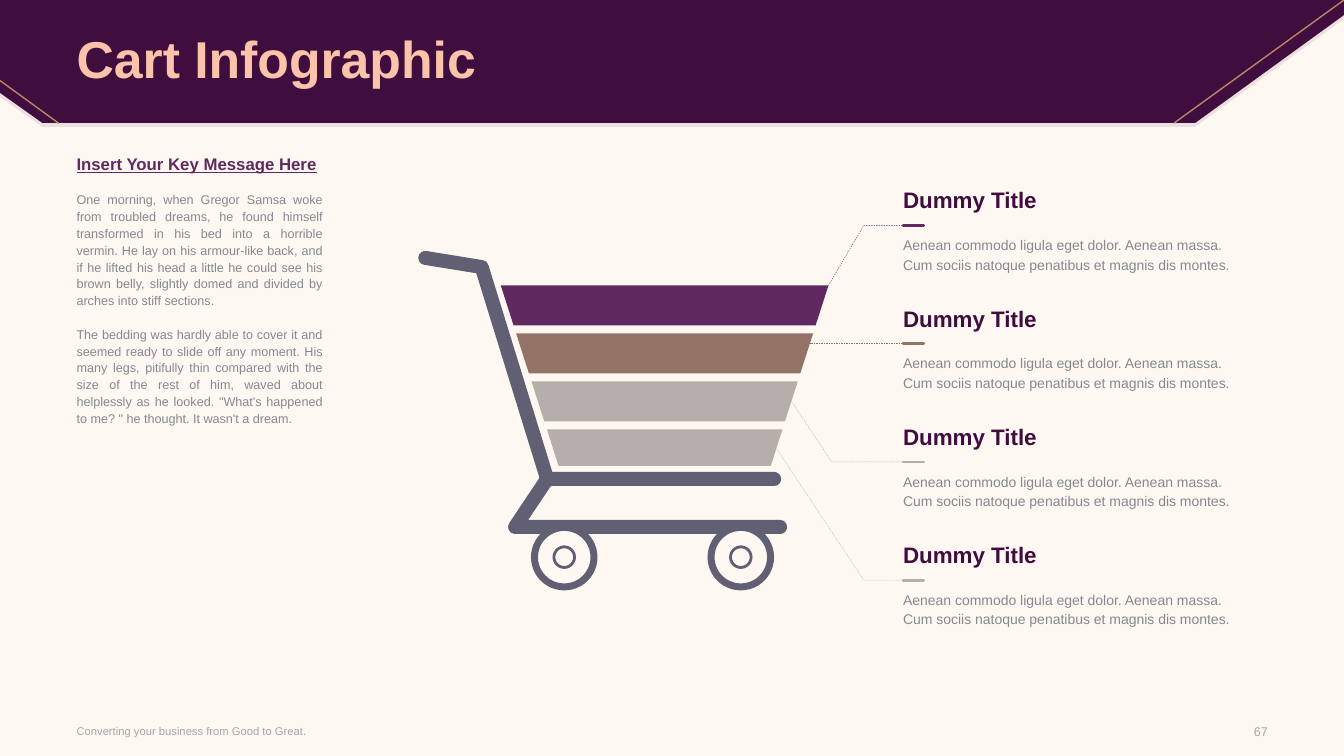
from lxml.etree import SubElement
from pptx import Presentation
from pptx.dml.color import RGBColor
from pptx.enum.dml import MSO_LINE
from pptx.enum.shapes import MSO_CONNECTOR, MSO_SHAPE
from pptx.enum.text import MSO_ANCHOR, PP_ALIGN
from pptx.oxml.ns import qn
from pptx.util import Cm, Pt

COLORS = {
    "background": "FFF7F2", "header": "3F0D3E", "peach": "FBC4AA", "gold": "B98763",
    "plum": "602A60", "brown": "927365", "stone": "B6AEAB", "frame": "605F73",
    "body": "85898F", "footer": "A6A6A6",
}
LAYER_COLORS = ["plum", "brown", "stone", "stone"]
LAYER_HEIGHTS = [1.01, 1.01, 1.01, 0.92]
LAYER_PITCH = 1.21
LAYER_TOP = 0.87
SLOPE = 0.32
TOPIC_PITCH = 2.98
RULE_OFFSET = 0.98
LEADERS = [(21.77, 0), (None, 1.47), (20.96, 2.92), (21.77, 4.11)]
STYLES = {
    "title": {"size": Pt(37), "bold": True, "color": "peach"},
    "key": {"size": Pt(12), "bold": True, "underline": True, "color": "plum"},
    "message": {"size": Pt(9), "color": "body"},
    "topic": {"size": Pt(16), "bold": True, "color": "header"},
    "detail": {"size": Pt(10), "color": "body"},
    "footer": {"size": Pt(8), "color": "footer"},
    "number": {"size": Pt(9), "color": "footer"},
}
MESSAGE = [
    ("Insert Your Key Message Here", "key"),
    ("One morning, when Gregor Samsa woke from troubled dreams, he found himself "
     "transformed in his bed into a horrible vermin. He lay on his armour-like back, "
     "and if he lifted his head a little he could see his brown belly, slightly domed "
     "and divided by arches into stiff sections.", "message"),
    ("The bedding was hardly able to cover it and seemed ready to slide off any moment. "
     "His many legs, pitifully thin compared with the size of the rest of him, waved "
     "about helplessly as he looked. \"What's happened to me? \" he thought. "
     "It wasn't a dream.", "message"),
]
DETAIL = [
    ("Aenean commodo ligula eget dolor. Aenean massa.", "detail"),
    ("Cum sociis natoque penatibus et magnis dis montes.", "detail"),
]


def rgb(name):
    """Return the named colour."""
    return RGBColor.from_string(COLORS[name])


def add_text(slide, box, paragraphs, anchor=MSO_ANCHOR.TOP, **layout):
    """Fill a text box with (text, style) paragraphs."""
    frame = slide.shapes.add_textbox(*map(Cm, box)).text_frame
    settings = {"word_wrap": True, "vertical_anchor": anchor, "margin_left": 0,
                "margin_right": 0, "margin_top": 0, "margin_bottom": 0}
    for name, value in settings.items():
        setattr(frame, name, value)
    for index, (text, style) in enumerate(paragraphs):
        paragraph = frame.add_paragraph() if index else frame.paragraphs[0]
        for name, value in layout.items():
            setattr(paragraph, name, value)
        run = paragraph.add_run()
        run.text = text
        for name, value in {"name": "Arial", **STYLES[style]}.items():
            if name == "color":
                run.font.color.rgb = rgb(value)
            else:
                setattr(run.font, name, value)


def build_path(slide, points, close):
    """Build an outline through points given in centimetres."""
    start, *others = [(Cm(x), Cm(y)) for x, y in points]
    builder = slide.shapes.build_freeform(*start)
    builder.add_line_segments(others, close=close)
    shape = builder.convert_to_shape()
    shape.shadow.inherit = False
    return shape


def add_area(slide, points, color, opacity=100):
    """Draw a filled polygon."""
    shape = build_path(slide, points, True)
    shape.fill.solid()
    shape.fill.fore_color.rgb = rgb(color)
    shape.line.fill.background()
    if opacity < 100:
        fill = shape.fill.fore_color._xFill.find(qn("a:srgbClr"))
        SubElement(fill, qn("a:alpha")).set("val", str(opacity * 1000))


def add_stroke(slide, points, color, width, dash=None):
    """Draw a round-ended line through two or more points."""
    if len(points) == 2:
        ends = [Cm(value) for point in points for value in point]
        shape = slide.shapes.add_connector(MSO_CONNECTOR.STRAIGHT, *ends)
        SubElement(shape._element.spPr, qn("a:effectLst"))
    else:
        shape = build_path(slide, points, False)
        shape.fill.background()
    shape.line.color.rgb = rgb(color)
    shape.line.width = Pt(width)
    if dash:
        shape.line.dash_style = dash
    outline = shape.line._get_or_add_ln()
    outline.set("cap", "flat" if dash else "rnd")
    SubElement(outline, qn("a:round"))


def add_ring(slide, center, radius, width):
    """Draw a circle with a thick outline around a center."""
    x, y = center
    box = (x - radius, y - radius, 2 * radius, 2 * radius)
    ring = slide.shapes.add_shape(MSO_SHAPE.OVAL, *map(Cm, box))
    ring.shadow.inherit = False
    ring.fill.solid()
    ring.fill.fore_color.rgb = rgb("background")
    ring.line.color.rgb = rgb("frame")
    ring.line.width = Pt(width)


def add_header(slide, box):
    """Draw the banner with its cut corners, gold lines and title."""
    left, top, width, height = box
    right, bottom = left + width, top + height
    outline = [(left, top), (right, top), (right, top + 0.38), (right - 3.75, bottom),
               (left + 1.07, bottom), (left, top + 2.34)]
    add_area(slide, [(x, y + 0.1) for x, y in outline], "header", 10)
    add_area(slide, outline, "header")
    add_stroke(slide, [(right, top), (right - 4.28, bottom)], "gold", 1)
    add_stroke(slide, [(left, top + 2.03), (left + 1.47, bottom)], "gold", 1)
    add_text(slide, (left + 1.93, top + 0.08, 30, 2.97), [("Cart Infographic", "title")],
             MSO_ANCHOR.MIDDLE, line_spacing=0.9)


def add_cart(slide, box):
    """Draw the tapering layers, the frame and the wheels."""
    left, top, width, height = box
    for index, (color, depth) in enumerate(zip(LAYER_COLORS, LAYER_HEIGHTS)):
        upper = index * LAYER_PITCH
        lower = upper + depth
        start, end, base = left + 2.1, left + width, top + LAYER_TOP
        add_area(slide, [(start + SLOPE * upper, base + upper), (end - SLOPE * upper, base + upper),
                         (end - SLOPE * lower, base + lower), (start + SLOPE * lower, base + lower)],
                 color)
    tubes = [[(0.2, 0.18), (1.62, 0.41), (3.27, 5.75), (8.99, 5.75)],
             [(3.27, 5.75), (2.46, 6.96), (9.14, 6.96)]]
    for tube in tubes:
        add_stroke(slide, [(left + x, top + y) for x, y in tube], "frame", 10)
    for offset in (3.7, 8.15):
        center = (left + offset, top + height - 0.84)
        add_ring(slide, center, 0.75, 5)
        add_ring(slide, center, 0.26, 2)


def add_leader(slide, cart, rule, elbow, drop, color):
    """Link a topic rule to the sloping edge of the cart."""
    left, top, width, _ = cart
    x, y = rule
    edge = left + width - SLOPE * drop
    if elbow is None:
        points = [(x, y), (edge, y)]
    else:
        points = [(x, y), (elbow, y), (edge, top + LAYER_TOP + drop)]
    add_stroke(slide, points, color, 0.25, MSO_LINE.DASH)


def add_topic(slide, box, color):
    """Place a topic title, its short rule and its detail lines."""
    left, top, width, _ = box
    rule = top + RULE_OFFSET
    add_text(slide, (left, top, width, 0.69), [("Dummy Title", "topic")])
    add_stroke(slide, [(left, rule), (left + 0.52, rule)], color, 2)
    add_text(slide, (left, top + 1.19, width, 0.99), DETAIL, line_spacing=Pt(14))


def add_topics(slide, box, cart):
    """Stack the topics and link each one to the cart."""
    left, top, width, _ = box
    for index, (color, (elbow, drop)) in enumerate(zip(LAYER_COLORS, LEADERS)):
        topic_top = top + index * TOPIC_PITCH
        add_leader(slide, cart, (left + 0.43, topic_top + RULE_OFFSET), elbow, drop, color)
        add_topic(slide, (left, topic_top, width, 2.18), color)


def add_footer(slide, box):
    """Place the tagline and the page number at the two ends."""
    left, top, width, height = box
    add_text(slide, (left, top, 13.3, height),
             [("Converting your business from Good to Great.", "footer")], MSO_ANCHOR.MIDDLE)
    add_text(slide, (left + width - 1.6, top, 1.6, height), [("67", "number")],
             MSO_ANCHOR.MIDDLE, alignment=PP_ALIGN.RIGHT)


def main():
    """Build and save the slide."""
    presentation = Presentation()
    presentation.slide_width, presentation.slide_height = Cm(33.87), Cm(19.05)
    slide = presentation.slides.add_slide(presentation.slide_layouts[6])
    slide.background.fill.solid()
    slide.background.fill.fore_color.rgb = rgb("background")
    cart = (10.52, 6.32, 10.36, 8.56)
    add_header(slide, (0, 0, 33.87, 3.1))
    add_text(slide, (1.93, 3.96, 6.2, 13.18), MESSAGE, alignment=PP_ALIGN.JUSTIFY,
             line_spacing=Pt(12), space_after=Pt(12))
    add_cart(slide, cart)
    add_topics(slide, (22.76, 4.7, 9.37, 11.12), cart)
    add_footer(slide, (1.93, 18.1, 30.02, 0.66))
    presentation.save("out.pptx")


if __name__ == "__main__":
    main()
